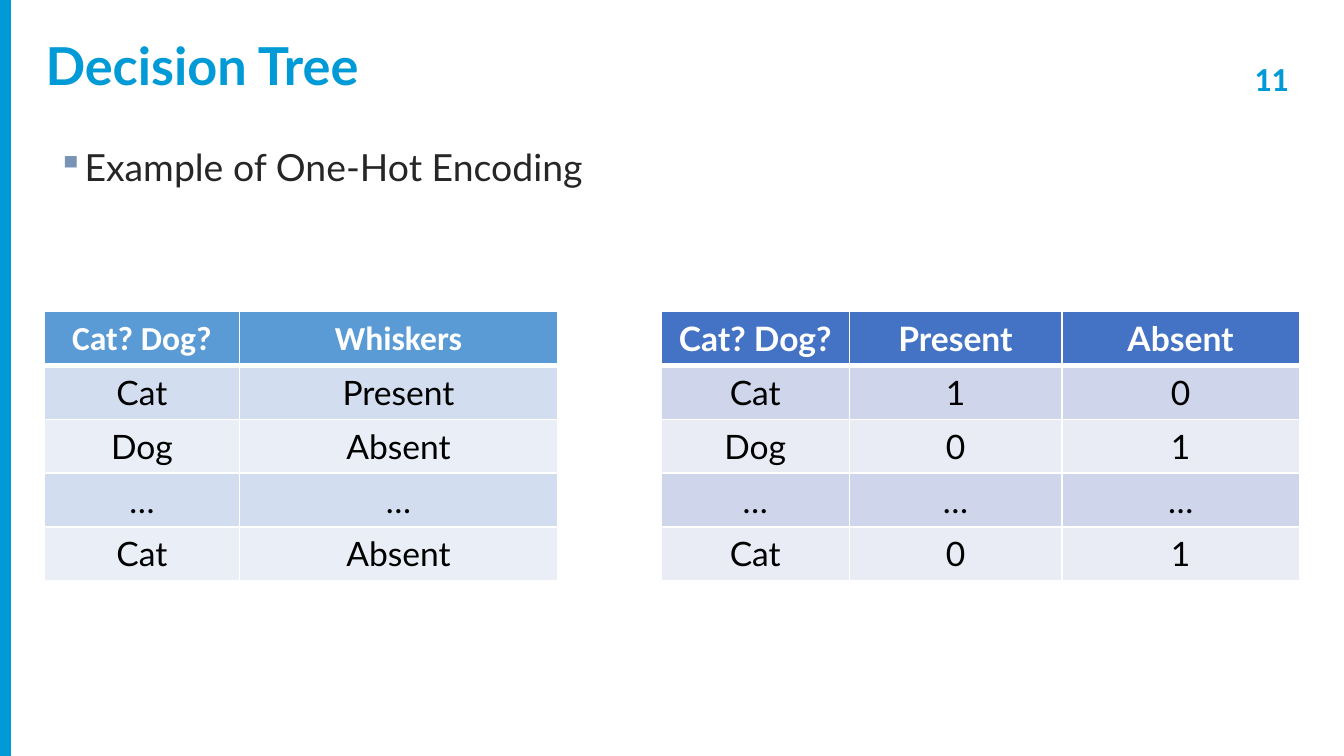
from lxml.etree import SubElement
from pptx import Presentation
from pptx.dml.color import RGBColor
from pptx.enum.shapes import MSO_SHAPE as Shape
from pptx.enum.text import MSO_ANCHOR as Anchor, PP_ALIGN as Align
from pptx.oxml.ns import qn
from pptx.util import Pt

ACCENT = "009BD6"
WHITE = "FFFFFF"
ROW_HEIGHT = 28.8
TABLE_TOP = 167


def color(value):
    return RGBColor.from_string(value)


def style_runs(paragraph, size, font, ink, bold=False):
    for run in paragraph.runs:
        run.font.size = Pt(size)
        run.font.name = font
        run.font.bold = bold
        run.font.color.rgb = color(ink)


def add_bar(slide, left, top, width, height, fill):
    bar = slide.shapes.add_shape(Shape.RECTANGLE, Pt(left), Pt(top), Pt(width), Pt(height))
    bar.shadow.inherit = False
    bar.fill.solid()
    bar.fill.fore_color.rgb = color(fill)
    bar.line.fill.background()


def add_text(slide, text, box, size, font, ink, bold=False,
             spacing=1.0, align=Align.LEFT, anchor=Anchor.TOP):
    frame = slide.shapes.add_textbox(*map(Pt, box)).text_frame
    frame.word_wrap = True
    frame.vertical_anchor = anchor
    frame.text = text
    paragraph = frame.paragraphs[0]
    paragraph.alignment = align
    paragraph.line_spacing = spacing
    style_runs(paragraph, size, font, ink, bold)
    return paragraph


def add_bullet(paragraph, symbol, ink, percent, indent):
    properties = paragraph._p.get_or_add_pPr()
    properties.set("marL", str(Pt(indent)))
    properties.set("indent", str(-Pt(indent)))
    bullet_color = SubElement(properties, qn("a:buClr"))
    SubElement(bullet_color, qn("a:srgbClr"), val=ink)
    SubElement(properties, qn("a:buSzPct"), val=str(percent * 1000))
    SubElement(properties, qn("a:buChar"), char=symbol)


def set_borders(cell, top, bottom):
    properties = cell._tc.get_or_add_tcPr()
    for side, width in (("L", 1), ("R", 1), ("T", top), ("B", bottom)):
        line = SubElement(properties, qn(f"a:ln{side}"), w=str(Pt(width)))
        fill = SubElement(line, qn("a:solidFill"))
        SubElement(fill, qn("a:srgbClr"), val=WHITE)


def add_data_table(slide, left, widths, rows, header_fill, bands, header_font):
    table = slide.shapes.add_table(
        len(rows), len(widths), Pt(left), Pt(TABLE_TOP),
        Pt(sum(widths)), Pt(ROW_HEIGHT * len(rows))).table
    for column, width in zip(table.columns, widths):
        column.width = Pt(width)
    for r, values in enumerate(rows):
        table.rows[r].height = Pt(ROW_HEIGHT)
        header = r == 0
        for c, value in enumerate(values):
            cell = table.cell(r, c)
            # A thick rule separates the header from the body
            set_borders(cell, top=3 if r == 1 else 1, bottom=3 if header else 1)
            cell.fill.solid()
            cell.fill.fore_color.rgb = color(header_fill if header else bands[(r - 1) % 2])
            cell.text_frame.text = value
            paragraph = cell.text_frame.paragraphs[0]
            paragraph.alignment = Align.CENTER
            style_runs(paragraph, 18, header_font if header else "Lato",
                       WHITE if header else "000000", header)


def main():
    deck = Presentation()
    deck.slide_width, deck.slide_height = Pt(720), Pt(405)
    slide = deck.slides.add_slide(deck.slide_layouts[6])

    # Page number and side bar
    add_text(slide, "11", (653.8, 16.6, 54.7, 31), 18, "Calibri", ACCENT,
             bold=True, spacing=1.5, align=Align.CENTER)
    add_bar(slide, 0, 0, 5.8, 405, ACCENT)

    # Title and topic
    add_text(slide, "Decision Tree", (17.3, 5, 632.2, 63.4), 28, "Lato", ACCENT,
             bold=True, spacing=0.9, anchor=Anchor.MIDDLE)
    topic = add_text(slide, "Example of One-Hot Encoding", (23.8, 71.3, 672.5, 32.4),
                     20, "Lato", "262626", spacing=1.1)
    add_bullet(topic, "▪", "7893B4", 95, 14.4)

    # Categorical feature
    add_data_table(slide, 23.8, (104.4, 170.6), [
        ("Cat? Dog?", "Whiskers"),
        ("Cat", "Present"),
        ("Dog", "Absent"),
        ("…", "…"),
        ("Cat", "Absent"),
    ], "5B9BD5", ("D2DEEF", "EAEFF7"), "Calibri")

    # One-hot encoded feature
    add_data_table(slide, 354.2, (100.8, 113.8, 127.4), [
        ("Cat? Dog?", "Present", "Absent"),
        ("Cat", "1", "0"),
        ("Dog", "0", "1"),
        ("…", "…", "…"),
        ("Cat", "0", "1"),
    ], "4472C4", ("CFD5EA", "E9EBF5"), "Lato")

    deck.save("out.pptx")


if __name__ == "__main__":
    main()
